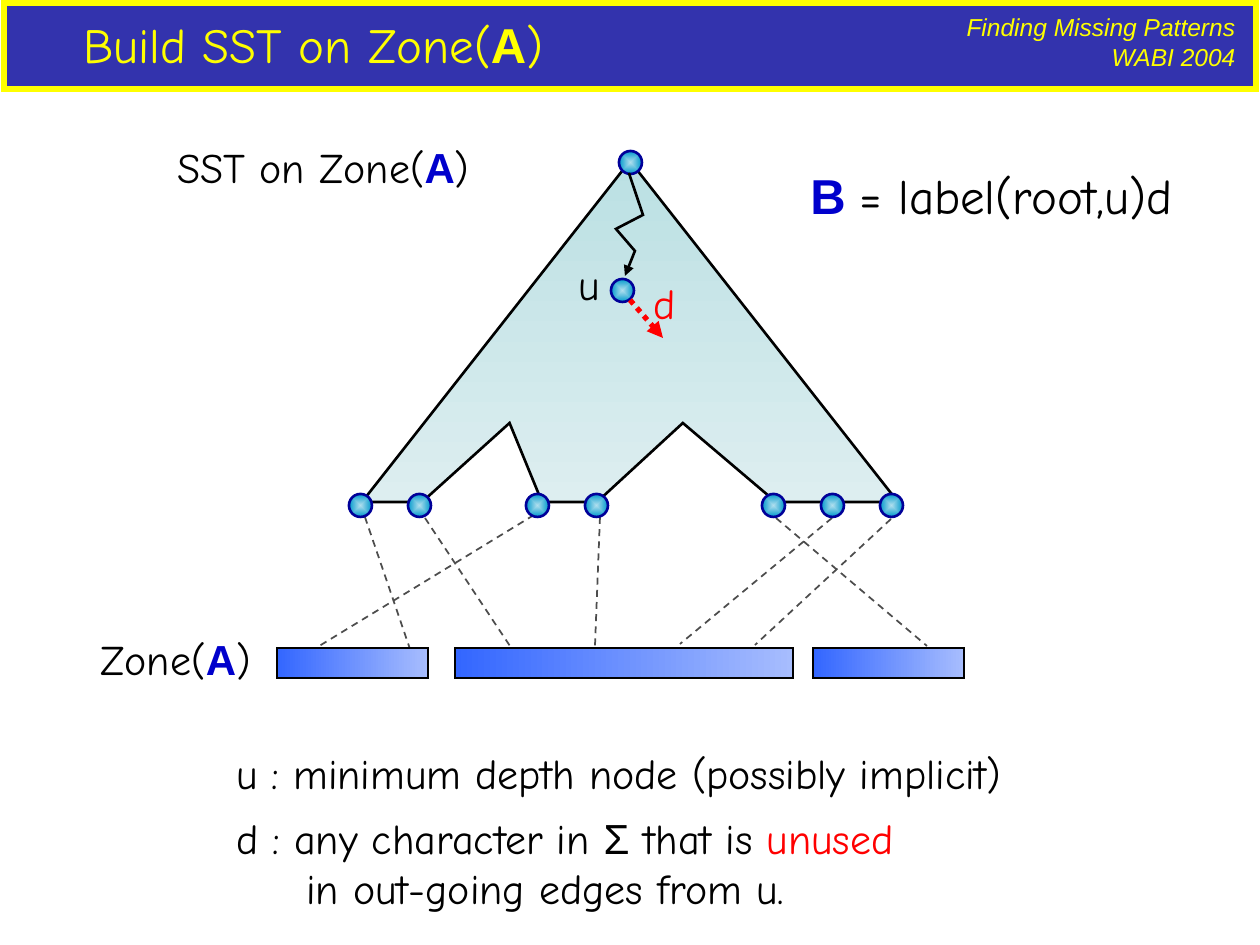
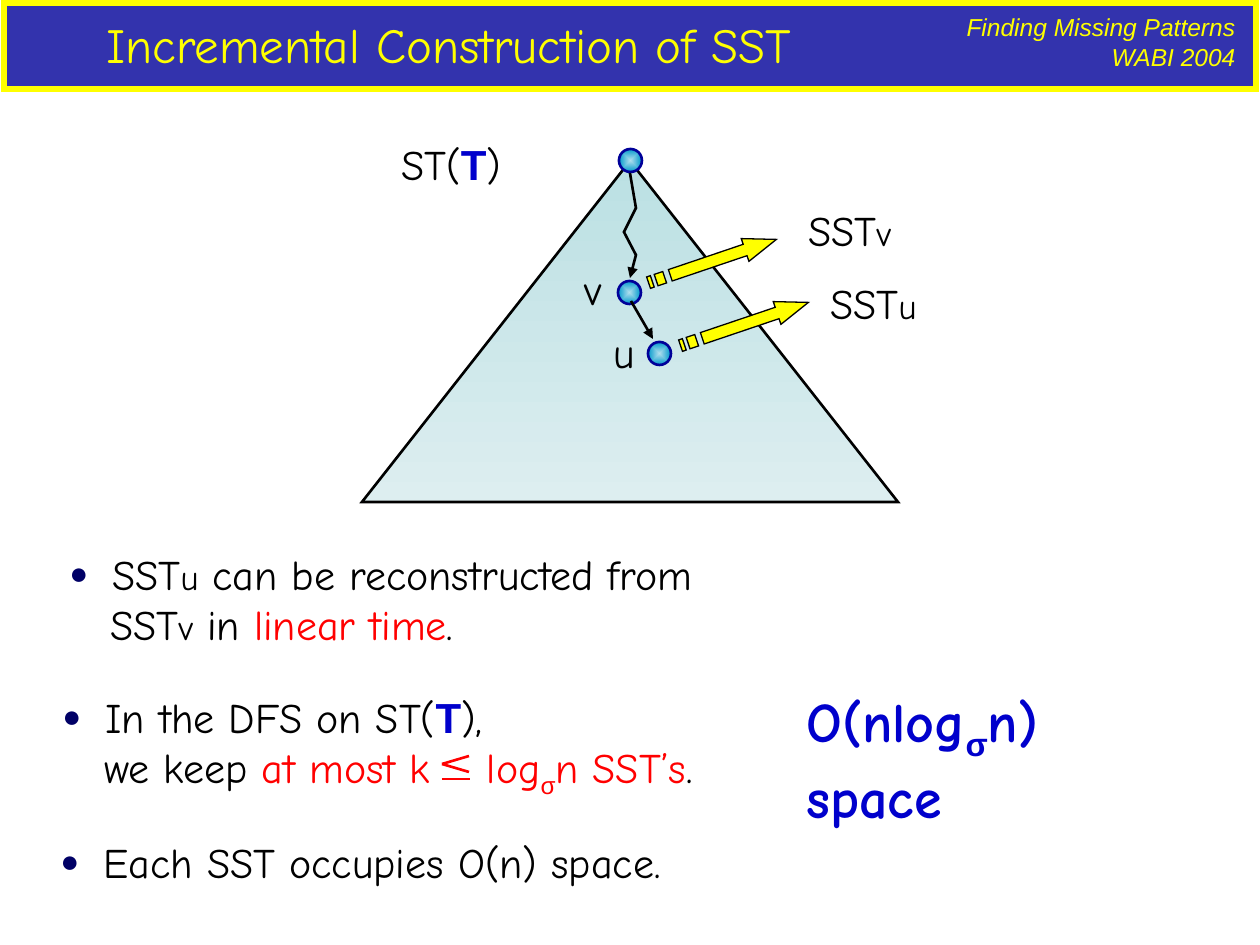
import dataclasses

import lxml.etree
import pptx
import pptx.dml.color
import pptx.enum.dml
import pptx.enum.shapes
import pptx.enum.text
import pptx.oxml.ns
import pptx.util

SCALE = pptx.util.Inches(1) / 126
SHAPES = pptx.enum.shapes.MSO_SHAPE
DASHES = pptx.enum.dml.MSO_LINE
ALIGN = pptx.enum.text.PP_ALIGN


@dataclasses.dataclass(frozen=True)
class Theme:
    navy: str = "000099"
    yellow: str = "FFFF00"
    black: str = "000000"
    white: str = "FFFFFF"
    red: str = "FF0000"
    blue: str = "0000CC"
    grey: str = "4D4D4D"
    bullet: str = "000066"
    tree: tuple = ("BBE0E3", "DDEEF0")
    node: tuple = ("B1DFEE", "0099CC")
    bar: tuple = ("A7BDFE", "3366FF")
    header_size: int = 14
    index_size: int = 20
    body_size: int = 24
    title_size: int = 28
    result_size: int = 32
    hand: str = "Comic Neue"
    sans: str = "Arial"

    def text_formats(self, style):
        hand, sans = {"name": self.hand}, {"name": self.sans}
        bold = {"bold": True}
        return {
            "title": (self.yellow, hand),
            "title mark": (self.yellow, sans | bold),
            "header": (self.yellow, sans | {"italic": True}),
            "body": (self.black, hand),
            "index": (self.black, hand | {"size": pptx.util.Pt(self.index_size)}),
            "symbol": (self.black, sans),
            "mark": (self.blue, sans | bold),
            "alert": (self.red, hand),
            "alert base": (self.red, sans),
            "result": (self.blue, hand | bold),
            "result base": (self.blue, sans | bold),
        }[style]


def px(length):
    return round(length * SCALE)


def rgb(value):
    return pptx.dml.color.RGBColor.from_string(value)


def add_xml(parent, tag, **values):
    child = lxml.etree.SubElement(parent, pptx.oxml.ns.qn(tag))
    for key, value in values.items():
        child.set(key, str(value))
    return child


class SlideWriter:
    def __init__(self, deck, theme):
        self.deck = deck
        self.theme = theme
        self.page = None

    def start(self, left, width, title):
        theme = self.theme
        self.page = self.deck.slides.add_slide(self.deck.slide_layouts[6])
        band = self.shape(SHAPES.RECTANGLE, 4, 3, 1252, 86, theme.navy, theme.yellow, 3)
        color = band.fill._xPr.find(".//" + pptx.oxml.ns.qn("a:srgbClr"))
        add_xml(color, "a:alpha", val=80000)
        header = [[("Finding Missing Patterns", "header")], [("WABI 2004", "header")]]
        self.text(934, 6, 314, 72, header, theme.header_size, align=ALIGN.RIGHT)
        self.text(left, 8, width, 72, [title], theme.title_size)

    def outline(self, item, color, width, dash=None, arrow=False):
        formats = {"width": pptx.util.Pt(width), "dash_style": dash}
        item.line.color.rgb = rgb(color)
        for key, value in formats.items():
            setattr(item.line, key, value)
        add_xml(item.get_or_add_ln(), "a:miter", lim=800000)
        if arrow:
            add_xml(item.get_or_add_ln(), "a:tailEnd", type="triangle")

    def paint(self, item, fill, color=None, width=1.5, arrow=False):
        item.shadow.inherit = False
        if fill is None:
            item.fill.background()
        elif isinstance(fill, tuple):
            item.fill.gradient()
            for stop, value in zip(item.fill.gradient_stops, fill):
                stop.color.rgb = rgb(value)
        else:
            item.fill.solid()
            item.fill.fore_color.rgb = rgb(fill)
        if color is None:
            item.line.fill.background()
        else:
            self.outline(item, color, width, arrow=arrow)
        return item

    def shape(self, kind, left, top, width, height, fill, color=None, line=1.5):
        item = self.page.shapes.add_shape(kind, *map(px, (left, top, width, height)))
        return self.paint(item, fill, color, line)

    def triangle(self, left, top, width, height, fill, peak=0.5):
        item = self.shape(SHAPES.ISOSCELES_TRIANGLE, left, top, width, height, fill, self.theme.black)
        item.adjustments[0] = peak
        return item

    def tree(self):
        self.triangle(362, 161, 536, 341, self.theme.tree).fill.gradient_angle = 270

    def node(self, center_x, center_y):
        item = self.shape(SHAPES.OVAL, center_x - 11, center_y - 11, 23, 23,
                          self.theme.node, self.theme.navy)
        gradient = item._element.spPr.find(pptx.oxml.ns.qn("a:gradFill"))
        gradient.remove(gradient.find(pptx.oxml.ns.qn("a:lin")))
        middle = add_xml(gradient, "a:path", path="rect")
        add_xml(middle, "a:fillToRect", l=50000, t=50000, r=50000, b=50000)

    def bar(self, left, width):
        item = self.shape(SHAPES.RECTANGLE, left, 648, width, 30,
                          self.theme.bar, self.theme.black, 0.75)
        item.fill.gradient_angle = 180

    def line(self, start, end, color, width=1.5, dash=None, arrow=False):
        item = self.page.shapes.add_connector(
            pptx.enum.shapes.MSO_CONNECTOR.STRAIGHT, *map(px, start + end))
        self.outline(item, color, width, dash, arrow)
        add_xml(item._element.spPr, "a:effectLst")

    def zigzag(self, *points):
        builder = self.page.shapes.build_freeform(*points[0], scale=SCALE)
        builder.add_line_segments(points[1:], close=False)
        self.paint(builder.convert_to_shape(), None, self.theme.black, arrow=True)

    def striped_arrow(self, left, top):
        head = [(23, 6), (102, 6), (102, 0), (135, 12), (102, 24), (102, 18), (23, 18)]
        stripes = [[(a, 6), (b, 6), (b, 18), (a, 18)] for a, b in ((0, 4), (8, 17))]
        builder = self.page.shapes.build_freeform(*head[0], scale=SCALE)
        builder.add_line_segments(head[1:])
        for stripe in stripes:
            builder.move_to(*stripe[0])
            builder.add_line_segments(stripe[1:])
        item = builder.convert_to_shape(px(left), px(top))
        item.left, item.top = px(left), px(top)
        item.rotation = 341.3
        self.paint(item, self.theme.yellow, self.theme.black, 0.75)

    def text(self, left, top, width, height, lines, size=None, align=ALIGN.LEFT,
             bullet=False, indents=()):
        box = self.page.shapes.add_textbox(*map(px, (left, top, width, height)))
        frame = box.text_frame
        formats = {"word_wrap": True, "auto_size": pptx.enum.text.MSO_AUTO_SIZE.NONE}
        for key, value in formats.items():
            setattr(frame, key, value)
        for number, spans in enumerate(lines):
            para = frame.add_paragraph() if number else frame.paragraphs[0]
            para.alignment = align
            if number < len(indents):
                para._p.get_or_add_pPr().set("marL", str(px(indents[number])))
            if bullet and number == 0:
                self.bullet(para, indents[0])
            for words, style, *extra in spans:
                self.span(para, words, style, size or self.theme.body_size, *extra)

    def bullet(self, para, hang):
        properties = para._p.get_or_add_pPr()
        properties.set("indent", str(-px(hang)))
        color = add_xml(properties, "a:buClr")
        add_xml(color, "a:srgbClr", val=self.theme.bullet)
        add_xml(properties, "a:buSzPct", val=75000)
        add_xml(properties, "a:buFont", typeface=self.theme.sans)
        add_xml(properties, "a:buChar", char="●")

    def span(self, para, words, style, size, extra=None):
        color, formats = self.theme.text_formats(style)
        span = para.add_run()
        span.text = words
        for key, value in ({"size": pptx.util.Pt(size)} | formats).items():
            setattr(span.font, key, value)
        span.font.color.rgb = rgb(color)
        for key, value in (extra or {}).items():
            span._r.get_or_add_rPr().set(key, str(value))


SUBSCRIPT = {"baseline": -25000}
WIDE_GAP = {"spc": 2450}


def zone_slide(writer):
    theme = writer.theme
    writer.start(71, 520, [("Build SST on Zone(", "title"), ("A", "title mark"), (")", "title")])
    writer.tree()
    writer.triangle(422, 423, 120, 79, theme.white, 0.73)
    writer.triangle(597, 423, 179, 79, theme.white, 0.48)
    writer.shape(SHAPES.RECTANGLE, 422, 499, 116, 18, theme.white)
    writer.shape(SHAPES.RECTANGLE, 604, 499, 165, 15, theme.white)
    links = [((365, 517), (410, 649)), ((425, 518), (510, 646)), ((534, 515), (316, 648)),
             ((600, 517), (595, 646)), ((776, 518), (927, 646)), ((832, 518), (680, 644)),
             ((891, 519), (755, 645))]
    for leaf, suffix in links:
        writer.line(leaf, suffix, theme.grey, 1, DASHES.DASH)
    for left, width in ((277, 151), (455, 338), (813, 151)):
        writer.bar(left, width)
    for step in (0, 1, 3, 4, 7, 8, 9):
        writer.node(360 + 59 * step, 505)
    writer.node(630, 162)
    writer.node(622, 290)
    writer.zigzag((629, 173), (643, 215), (616, 229), (635, 251), (625, 276))
    writer.text(641, 271, 60, 63, [[("d", "alert")]])
    writer.line((630, 300), (663, 338), theme.red, 3, DASHES.ROUND_DOT, True)
    writer.text(566, 252, 60, 63, [[("u", "body")]])
    for left, top, width, words in ((165, 135, 340, "SST on Zone("), (88, 627, 200, "Zone(")):
        writer.text(left, top, width, 63, [[(words, "body"), ("A", "mark"), (")", "body")]])
    writer.text(798, 159, 420, 72, [[("B ", "mark"), ("= label(root,u)d", "body")]],
                theme.title_size)
    writer.text(224, 741, 820, 63, [[("u : minimum depth node (possibly implicit)", "body")]])
    writer.text(224, 806, 730, 113, [
        [("d : any character in ", "body"), ("Σ", "symbol"), (" that is ", "body"),
         ("unused", "alert")],
        [("in out-going edges from u.", "body")]], indents=(0, 70))


def construction_slide(writer):
    theme = writer.theme
    writer.start(94, 740, [("Incremental Construction of SST", "title")])
    writer.tree()
    for center in ((630, 160), (659, 353), (629, 292)):
        writer.node(*center)
    writer.text(389, 132, 150, 63, [[("ST(", "body"), ("T", "mark"), (")", "body")]])
    writer.zigzag((630, 173), (636, 208), (624, 232), (636, 255), (630, 278))
    writer.line((631, 301), (653, 339), theme.black, arrow=True)
    writer.text(572, 257, 60, 63, [[("v", "body")]])
    writer.text(601, 320, 60, 63, [[("u", "body")]])
    for left, top in ((645, 249), (677, 312)):
        writer.striped_arrow(left, top)
    for left, top, name in ((796, 198, "v"), (818, 271, "u")):
        writer.text(left, top, 140, 63, [[("SST", "body"), (name, "index")]])
    writer.text(57, 542, 700, 113, [
        [("SST", "body"), ("u", "index"), (" can be reconstructed from", "body")],
        [("SST", "body"), ("v", "index"), (" in ", "body"), ("linear time", "alert"),
         (".", "body")]], bullet=True, indents=(43, 41))
    writer.text(50, 685, 700, 121, [
        [("In the DFS on ST(", "body"), ("T", "mark"), ("),", "body")],
        [("we keep ", "body"), ("at most k", "alert"), (" ", "alert", WIDE_GAP),
         ("log", "alert"), ("σ", "alert base", SUBSCRIPT), ("n SST’s", "alert"),
         (".", "body")]], bullet=True, indents=(43, 42))
    for start, end in (((469, 772), (442, 764)), ((469, 756), (442, 764)),
                       ((442, 779), (470, 779))):
        writer.line(start, end, theme.red)
    writer.text(794, 680, 370, 166, [
        [("O(nlog", "result"), ("σ", "result base", SUBSCRIPT), ("n) space", "result")]],
        theme.result_size)
    writer.text(48, 830, 680, 63, [[("Each SST occupies O(n) space.", "body")]],
                bullet=True, indents=(43,))


def main():
    deck = pptx.Presentation()
    deck.slide_width, deck.slide_height = px(1260), px(945)
    writer = SlideWriter(deck, Theme())
    zone_slide(writer)
    construction_slide(writer)
    deck.save("out.pptx")


if __name__ == "__main__":
    main()
